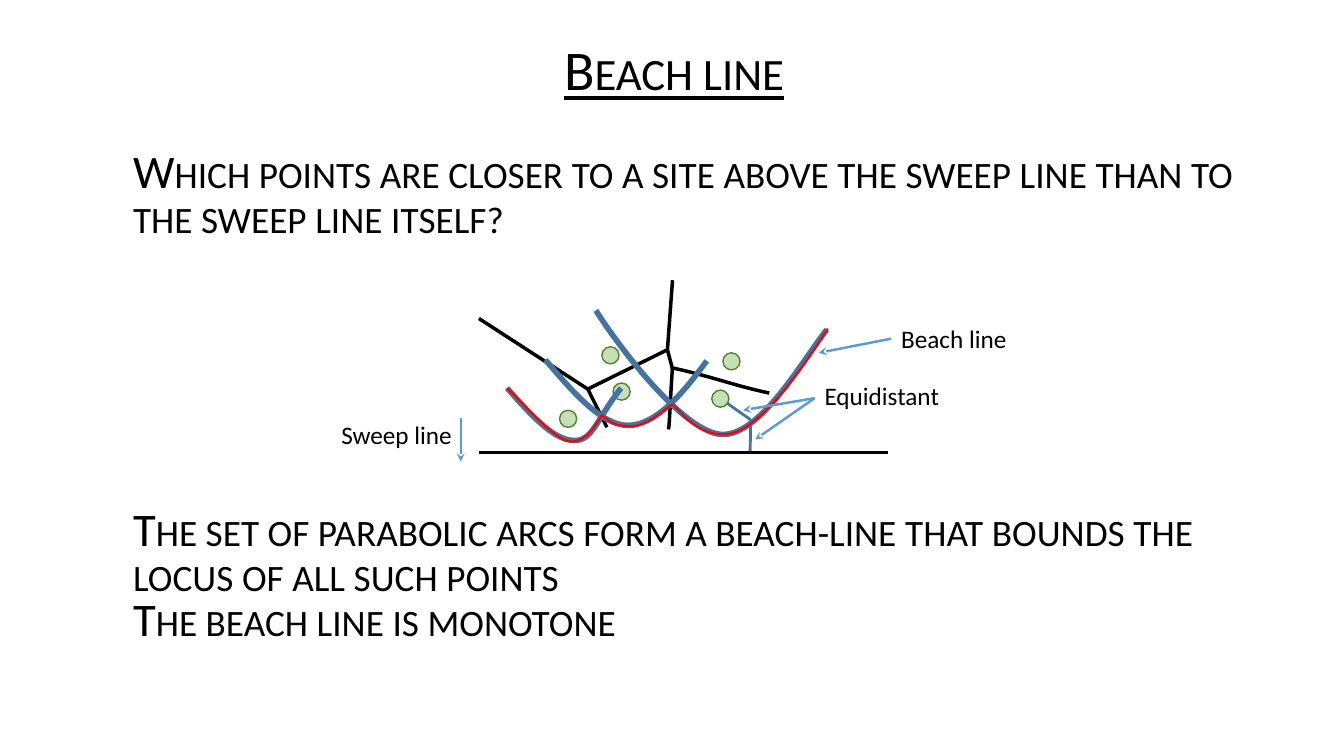
"""Build the beach line slide."""
from dataclasses import dataclass

import pptx
import pptx.dml.color
import pptx.enum.shapes
import pptx.enum.text
import pptx.oxml.ns
import pptx.util
from lxml import etree
from pptx.util import Inches

COLORS = {
    "black": "000000", "arc": "43739E", "beach": "FF0000",
    "arrow": "5B9BD5", "site": "C5E0B4", "site_edge": "548235",
}
FONT = "Calibri"
SITE_SIZE = 0.17
ALIGN = pptx.enum.text.PP_ALIGN
ANCHOR = pptx.enum.text.MSO_ANCHOR
Point = tuple[float, float]


@dataclass
class Stroke:
    """An open outline; curved points are chained cubic Beziers."""
    points: list[Point]
    color: str
    weight: float
    curved: bool = True


@dataclass
class Line:
    """A straight line, with or without an arrowhead."""
    start: Point
    end: Point
    color: str = "arrow"
    weight: float = 1.75
    arrow: bool = True


@dataclass
class Text:
    """A text box with one string for each paragraph."""
    box: tuple[float, float, float, float]
    paragraphs: list[str]
    size: float = 18
    align: ALIGN = ALIGN.LEFT
    anchor: ANCHOR = ANCHOR.TOP
    wrap: bool = False
    small_caps: bool = False
    underline: bool = False
    spacing: float = 1.0
    indent: float = 0.1
    gaps: tuple[float, ...] = (0,)


EQUIDISTANT_PATH = Stroke([(7.2, 3.99), (7.28, 4.05), (7.34, 4.09), (7.44, 4.16),
                           (7.45, 4.35), (7.44, 4.34), (7.44, 4.48)], "arc", 2)
SITES = [(7.06, 3.87), (5.55, 4.07), (6.08, 3.8), (7.17, 3.5), (5.97, 3.44)]
VORONOI_EDGES = [
    Stroke([(4.75, 3.16), (5.83, 3.86), (6.62, 3.47), (6.67, 2.78)], "black", 2.5, False),
    Stroke([(7.63, 3.9), (7.26, 3.82), (7.08, 3.74), (6.67, 3.65),
            (6.65, 3.93), (6.64, 4.24), (6.63, 4.26)], "black", 2.5),
]
VORONOI_LINES = [
    Line((6.62, 3.47), (6.67, 3.66), "black", 2.5, False),
    Line((5.83, 3.86), (6.02, 4.24), "black", 2.5, False),
]
PARABOLAS = [
    Stroke([(5.03, 3.85), (5.31, 4.17), (5.51, 4.37), (5.7, 4.37),
            (5.88, 4.37), (5.91, 4.17), (6.16, 3.85)], "arc", 4),
    Stroke([(5.91, 3.08), (6.13, 3.43), (6.77, 4.28), (7.15, 4.31),
            (7.53, 4.34), (7.95, 3.59), (8.2, 3.27)], "arc", 4),
    Stroke([(5.41, 3.57), (5.69, 3.9), (5.97, 4.22), (6.23, 4.22),
            (6.5, 4.22), (6.77, 3.91), (7.01, 3.58)], "arc", 4),
]
BEACH_LINE = Stroke([
    (5.03, 3.85), (5.27, 4.09), (5.51, 4.37), (5.66, 4.38), (5.82, 4.39), (5.91, 4.21),
    (5.97, 4.12), (6.08, 4.21), (6.1, 4.22), (6.25, 4.23), (6.4, 4.23), (6.52, 4.12),
    (6.67, 4.01), (6.78, 4.12), (6.93, 4.32), (7.2, 4.31), (7.47, 4.3), (7.86, 3.82),
    (8.21, 3.26)], "beach", 1.5)
SWEEP_AND_ARROWS = [
    Line((4.75, 4.49), (8.81, 4.49), "black", 2.75, False),
    Line((8.08, 3.95), (7.37, 4.07)),
    Line((8.08, 3.95), (7.49, 4.36)),
    Line((8.84, 3.36), (8.12, 3.5)),
    Line((4.57, 4.15), (4.57, 4.58)),
]
BODY_TEXTS = [
    Text((0.72, 1.32, 11.89, 5.28), [
        "Which points are closer to a site above the sweep line than to the sweep line itself?",
        "The set of parabolic arcs form a beach-line that bounds the locus of all such points",
        "The beach line is monotone"],
        33.3, anchor=ANCHOR.MIDDLE, wrap=True, small_caps=True, spacing=0.8,
        indent=0.6, gaps=(0, 192, 0)),
    Text((1.74, 0.29, 9.84, 0.85), ["Beach line"], 40, ALIGN.CENTER, ANCHOR.MIDDLE,
         True, True, True, 0.9, 0.15, (10,)),
]
LABELS = [
    Text((8.08, 3.72, 1.52, 0.45), ["Equidistant"]),
    Text((8.84, 3.16, 1.26, 0.4), ["Beach line"]),
    Text((3.27, 4.11, 1.31, 0.4), ["Sweep line"], align=ALIGN.RIGHT),
]


def rgb(name: str) -> pptx.dml.color.RGBColor:
    """Return a named colour."""
    return pptx.dml.color.RGBColor.from_string(COLORS[name])


def style_line(shape, color: str, weight: float) -> None:
    """Set the line colour and width."""
    shape.line.color.rgb = rgb(color)
    shape.line.width = pptx.util.Pt(weight)


def bend_segments(shape) -> None:
    """Join each three straight segments into one cubic Bezier."""
    segments = list(shape._element.iter(pptx.oxml.ns.qn("a:lnTo")))
    for first in range(0, len(segments), 3):
        curve = etree.Element(pptx.oxml.ns.qn("a:cubicBezTo"))
        segments[first].addprevious(curve)
        for segment in segments[first:first + 3]:
            curve.append(segment[0])
            segment.getparent().remove(segment)


def add_stroke(shapes, stroke: Stroke) -> None:
    """Draw an unfilled outline."""
    vertices = [(Inches(x), Inches(y)) for x, y in stroke.points]
    builder = shapes.build_freeform(*vertices[0])
    builder.add_line_segments(vertices[1:], close=False)
    shape = builder.convert_to_shape()
    if stroke.curved:
        bend_segments(shape)
    shape.shadow.inherit = False
    shape.fill.background()
    style_line(shape, stroke.color, stroke.weight)


def add_site(shapes, position: Point) -> None:
    """Draw one site as a green dot."""
    shape = shapes.add_shape(pptx.enum.shapes.MSO_SHAPE.OVAL,
                             *map(Inches, (*position, SITE_SIZE, SITE_SIZE)))
    shape.shadow.inherit = False
    shape.fill.solid()
    shape.fill.fore_color.rgb = rgb("site")
    style_line(shape, "site_edge", 1)


def add_line(shapes, line: Line) -> None:
    """Draw a straight connector."""
    connector = shapes.add_connector(pptx.enum.shapes.MSO_CONNECTOR.STRAIGHT,
                                     *map(Inches, (*line.start, *line.end)))
    style_line(connector, line.color, line.weight)
    if line.arrow:
        etree.SubElement(connector.line._get_or_add_ln(),
                         pptx.oxml.ns.qn("a:tailEnd"), type="stealth")
    etree.SubElement(connector._element.spPr, pptx.oxml.ns.qn("a:effectLst"))


def add_text(shapes, text: Text) -> None:
    """Write a text box and format its runs."""
    frame = shapes.add_textbox(*map(Inches, text.box)).text_frame
    frame.word_wrap = text.wrap
    frame.vertical_anchor = text.anchor
    frame.margin_left = Inches(text.indent)
    frame.text = "\n".join(text.paragraphs)
    for paragraph, gap in zip(frame.paragraphs, text.gaps):
        paragraph.alignment = text.align
        paragraph.line_spacing = text.spacing
        paragraph.space_before = pptx.util.Pt(gap)
        font = paragraph.runs[0].font
        font.name, font.size = FONT, pptx.util.Pt(text.size)
        font.color.rgb = rgb("black")
        font.underline = text.underline
        if text.small_caps:
            paragraph.runs[0]._r.get_or_add_rPr().set("cap", "small")


presentation = pptx.Presentation()
presentation.slide_width, presentation.slide_height = Inches(13.33), Inches(7.5)
slide = presentation.slides.add_slide(presentation.slide_layouts[6])
for body_text in BODY_TEXTS:
    add_text(slide.shapes, body_text)
diagram = slide.shapes.add_group_shape()
for draw, items in (
    (add_stroke, [EQUIDISTANT_PATH]), (add_site, SITES), (add_stroke, VORONOI_EDGES),
    (add_line, VORONOI_LINES), (add_stroke, [*PARABOLAS, BEACH_LINE]),
    (add_line, SWEEP_AND_ARROWS), (add_text, LABELS),
):
    for item in items:
        draw(diagram.shapes, item)
presentation.save("out.pptx")
